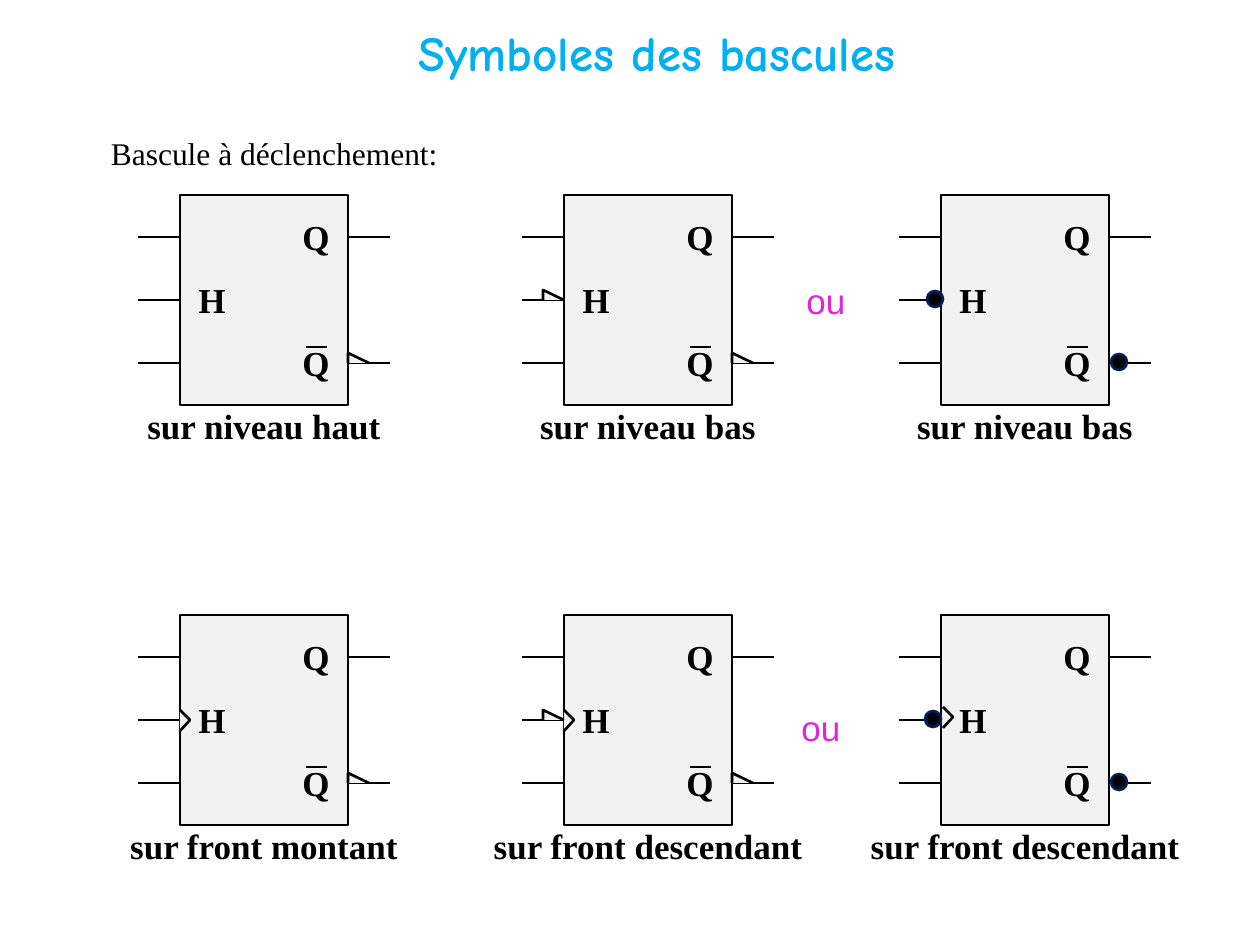
from pptx import Presentation
from pptx.dml.color import RGBColor
from pptx.enum.shapes import MSO_CONNECTOR, MSO_SHAPE
from pptx.enum.text import MSO_ANCHOR, PP_ALIGN
from pptx.oxml.ns import qn
from pptx.util import Emu, Pt
from lxml import etree

RECT, OVAL = MSO_SHAPE.RECTANGLE, MSO_SHAPE.OVAL
STRAIGHT = MSO_CONNECTOR.STRAIGHT
MIDDLE, TOP = MSO_ANCHOR.MIDDLE, MSO_ANCHOR.TOP
CENTER = PP_ALIGN.CENTER
BLACK = RGBColor(0x00, 0x00, 0x00)
GREY = RGBColor(0xF2, 0xF2, 0xF2)
NAVY = RGBColor(0x00, 0x20, 0x60)
SKY = RGBColor(0x00, 0xB0, 0xF0)
MAGENTA = RGBColor(0xE0, 0x26, 0xD7)
SERIF = "Times New Roman"
PX = 914400 / 126


def style(sp, fill, line=None):
    sp.shadow.inherit = False
    sp.fill.solid()
    sp.fill.fore_color.rgb = fill
    if line is None:
        sp.line.fill.background()
    else:
        sp.line.color.rgb = line
        sp.line.width = Pt(1.5)


def write(sp, text, size, font, color, bold=False, anchor=MIDDLE, wrap=False):
    tf = sp.text_frame
    tf.word_wrap = wrap
    tf.vertical_anchor = anchor
    p = tf.paragraphs[0]
    p.alignment = CENTER
    r = p.add_run()
    r.text = text
    r.font.size = Pt(size)
    r.font.name = font
    r.font.bold = bold
    r.font.color.rgb = color
    return p


prs = Presentation()
prs.slide_width, prs.slide_height = Emu(round(1260 * PX)), Emu(round(945 * PX))
s = prs.slides.add_slide(prs.slide_layouts[6])

title = s.shapes.add_textbox(*[Emu(round(v * PX)) for v in (64, 16, 1134, 73)])
p = write(title, "Symboles des bascules", 28, "Comic Neue", SKY, True, TOP, True)
pPr = p._p.get_or_add_pPr()
pPr.set("marL", str(round(78 * PX)))
pPr.set("indent", str(round(-26 * PX)))

WEDGE_IN = [(-21, 105), (-21, 95), (0, 105)]
WEDGE_OUT = [(168, 168), (168, 158), (189, 168)]
EDGE = [(0, 95), (10, 105), (0, 116)]
EDGE_DOT = [(2, 92), (12, 102), (2, 113)]
WIRES = [(x, y, x + 42, y) for x, y in
         [(-42, 42), (-42, 105), (-42, 168), (168, 42), (168, 168)]]
OVERBAR = (126, 152, 147, 152)
LABELS = [("H", 11, 84), ("Q", 115, 21), ("Q", 115, 147)]

flip_flops = [
    (180, 195, "sur niveau haut", [WEDGE_OUT], []),
    (564, 195, "sur niveau bas", [WEDGE_IN, WEDGE_OUT], []),
    (941, 195, "sur niveau bas", [], [(-14, 96), (170, 159)]),
    (180, 615, "sur front montant", [EDGE, WEDGE_OUT], []),
    (564, 615, "sur front descendant", [EDGE, WEDGE_IN, WEDGE_OUT], []),
    (941, 615, "sur front descendant", [EDGE_DOT], [(-16, 96), (170, 159)]),
]

for x, y, caption, outlines, dots in flip_flops:
    g = s.shapes.add_group_shape().shapes

    box = [Emu(round(v * PX)) for v in (x - 91, y + 209, 350, 42)]
    write(g.add_textbox(*box), caption, 20, SERIF, BLACK, True)

    box = [Emu(round(v * PX)) for v in (x, y, 168, 210)]
    style(g.add_shape(RECT, *box), GREY, BLACK)

    for text, dx, dy in LABELS:
        box = [Emu(round(v * PX)) for v in (x + dx, y + dy - 1, 42, 42)]
        sp = g.add_shape(RECT, *box)
        style(sp, GREY)
        write(sp, text, 20, SERIF, BLACK, True)

    for x1, y1, x2, y2 in WIRES + [OVERBAR]:
        ends = [Emu(round(v * PX)) for v in (x + x1, y + y1, x + x2, y + y2)]
        c = g.add_connector(STRAIGHT, *ends)
        c.line.color.rgb = BLACK
        c.line.width = Pt(1.5)
        etree.SubElement(c._element.spPr, qn("a:effectLst"))

    for outline in outlines:
        pts = [(round((x + dx) * PX), round((y + dy) * PX)) for dx, dy in outline]
        fb = g.build_freeform(*pts[0])
        fb.add_line_segments(pts[1:], close=False)
        style(fb.convert_to_shape(), GREY, BLACK)

    for dx, dy in dots:
        box = [Emu(round(v * PX)) for v in (x + dx, y + dy, 16, 16)]
        style(g.add_shape(OVAL, *box), BLACK, NAVY)

labels = [
    ("Bascule à déclenchement:", 97, 128, 355, 50, 18, SERIF, BLACK),
    ("ou", 794, 273, 64, 55, 20, "Arial", MAGENTA),
    ("ou", 789, 700, 64, 55, 20, "Arial", MAGENTA),
]
for text, x, y, w, h, size, font, color in labels:
    box = [Emu(round(v * PX)) for v in (x, y, w, h)]
    write(s.shapes.add_textbox(*box), text, size, font, color, anchor=TOP)

prs.save("out.pptx")
